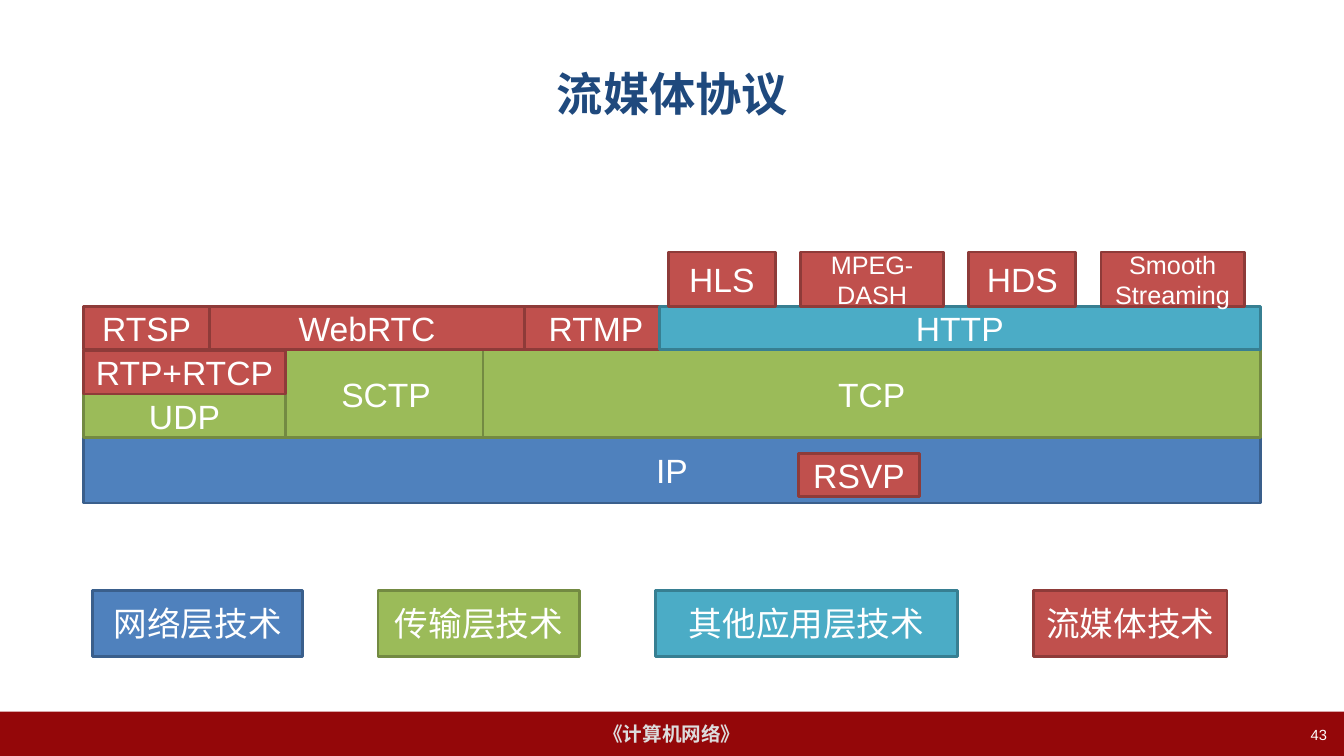
from dataclasses import dataclass

from pptx import Presentation
from pptx.dml.color import RGBColor
from pptx.enum.shapes import MSO_SHAPE
from pptx.enum.text import MSO_ANCHOR, MSO_AUTO_SIZE, PP_ALIGN
from pptx.util import Inches, Pt

TITLE = "流媒体协议"
COURSE = "《计算机网络》"
PAGE = "43"

# left, top, height, gap, [(label, width, kind, size)]
ROWS = [
    (0.83, 4.34, 0.65, 0, [("IP", 11.67, "network", "label")]),
    (2.83, 3.47, 0.87, -0.04, [("SCTP", 2, "transport", "label"),
                               ("TCP", 7.71, "transport", "label")]),
    (0.83, 3.91, 0.43, 0, [("UDP", 2, "transport", "label")]),
    (0.83, 3.48, 0.43, 0, [("RTP+RTCP", 2, "stream", "label")]),
    (0.83, 3.04, 0.43, 0, [("RTSP", 1.25, "stream", "label"),
                           ("WebRTC", 3.12, "stream", "label"),
                           ("RTMP", 1.42, "stream", "label")]),
    (6.54, 3.04, 0.43, 0, [("HTTP", 5.96, "application", "label")]),
    (6.63, 2.5, 0.54, 0.25, [("HLS", 1.06, "stream", "label"),
                             ("MPEG-DASH", 1.42, "stream", "small"),
                             ("HDS", 1.06, "stream", "label"),
                             ("Smooth\nStreaming", 1.42, "stream", "small")]),
    (7.92, 4.5, 0.43, 0, [("RSVP", 1.2, "stream", "label")]),
    (0.92, 5.86, 0.65, 0.75, [("网络层技术", 2.08, "network", "label"),
                              ("传输层技术", 2, "transport", "label"),
                              ("其他应用层技术", 3, "application", "label"),
                              ("流媒体技术", 1.92, "stream", "label")]),
]


@dataclass
class Theme:
    font = "Arial"
    title = "1F497D"
    bar = "940709"
    course = "DDDDDD"
    white = "FFFFFF"
    fills = {"network": "4F81BD", "transport": "9BBB59",
             "application": "4BACC6", "stream": "C0504D"}
    lines = {"network": "3A5F8C", "transport": "738A42",
             "application": "377F92", "stream": "8E3B39"}
    sizes = {"title": 33, "label": 24, "small": 18, "course": 14, "page": 10.5}
    border = 2


def write(sp, text, size, color, align=PP_ALIGN.CENTER,
          anchor=MSO_ANCHOR.MIDDLE, bold=False, wrap=True):
    tf = sp.text_frame
    tf.auto_size = MSO_AUTO_SIZE.NONE
    tf.word_wrap = wrap
    tf.vertical_anchor = anchor
    for i, line in enumerate(text.split("\n")):
        p = tf.add_paragraph() if i else tf.paragraphs[0]
        p.alignment = align
        r = p.add_run()
        r.text = line
        r.font.name = Theme.font
        r.font.size = Pt(Theme.sizes[size])
        r.font.bold = bold
        r.font.color.rgb = RGBColor.from_string(color)


def add_box(s, left, top, width, height, fill, line=None):
    sp = s.shapes.add_shape(MSO_SHAPE.RECTANGLE, Inches(left), Inches(top),
                            Inches(width), Inches(height))
    sp.shadow.inherit = False
    sp.fill.solid()
    sp.fill.fore_color.rgb = RGBColor.from_string(fill)
    if line:
        sp.line.color.rgb = RGBColor.from_string(line)
        sp.line.width = Pt(Theme.border)
    else:
        sp.line.fill.background()
    return sp


def add_row(s, left, top, height, gap, blocks):
    for label, width, kind, size in blocks:
        sp = add_box(s, left, top, width, height, Theme.fills[kind], Theme.lines[kind])
        write(sp, label, size, Theme.white)
        left += width + gap


def main():
    prs = Presentation()
    prs.slide_width, prs.slide_height = Inches(13.33), Inches(7.5)
    s = prs.slides.add_slide(prs.slide_layouts[5])

    title = s.shapes.title
    title.left, title.top = Inches(0.67), Inches(0.3)
    title.width, title.height = Inches(12), Inches(1.25)
    write(title, TITLE, "title", Theme.title, bold=True)

    bar = add_box(s, 0, 7.06, 13.33, 0.44, Theme.bar)
    write(bar, COURSE, "course", Theme.course, bold=True, wrap=False)
    page = s.shapes.add_textbox(Inches(10.15), Inches(7.15), Inches(3.11), Inches(0.35))
    write(page, PAGE, "page", Theme.white, PP_ALIGN.RIGHT, MSO_ANCHOR.TOP)

    for row in ROWS:
        add_row(s, *row)
    prs.save("out.pptx")


if __name__ == "__main__":
    main()
